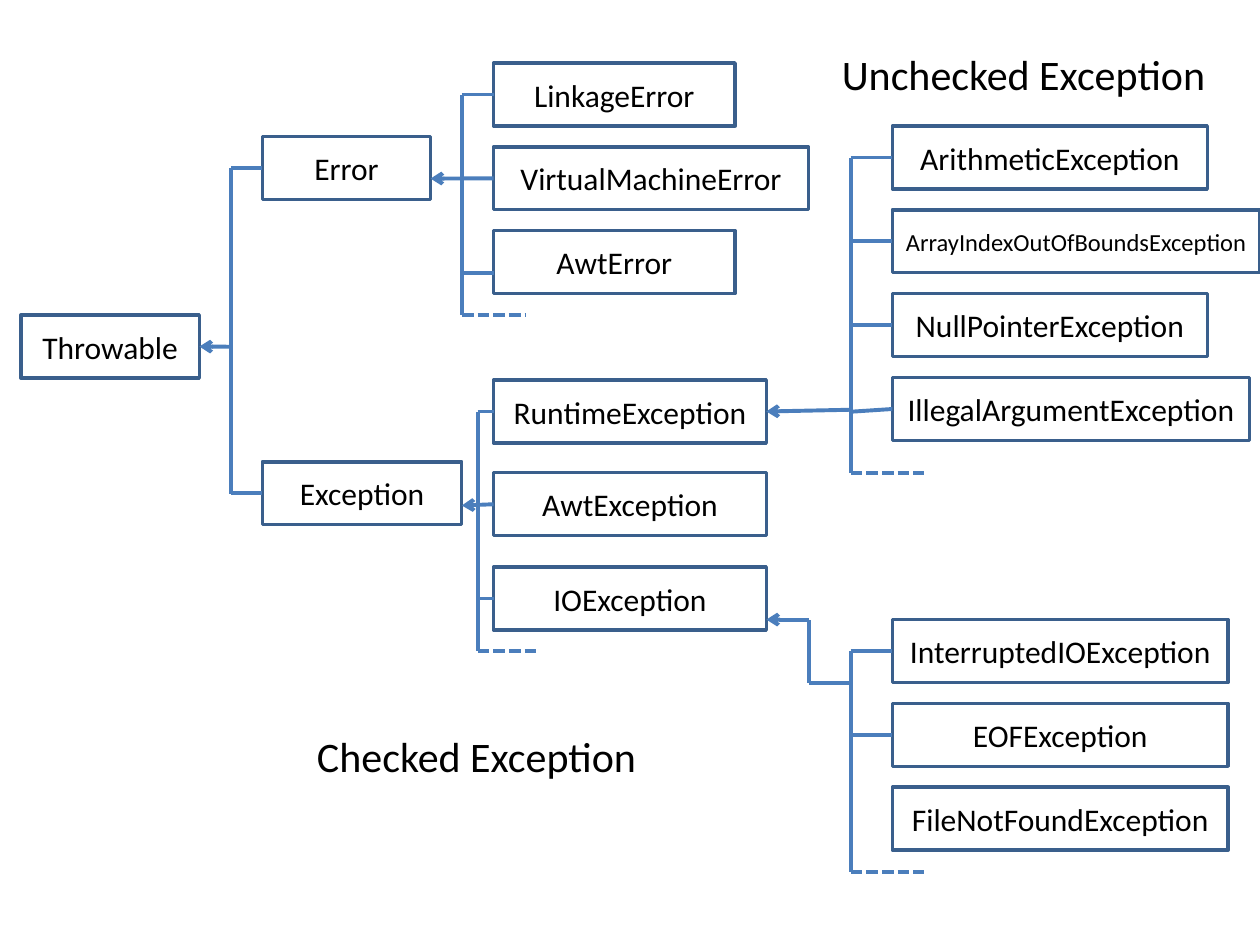
from dataclasses import dataclass
from typing import NamedTuple, Optional, Union

from lxml import etree
from pptx import Presentation
from pptx.dml.color import RGBColor
from pptx.enum import dml, shapes, text
from pptx.oxml.ns import qn
from pptx.util import Cm, Pt

BLACK = RGBColor(0x00, 0x00, 0x00)
BOX_LINE = RGBColor(0x3A, 0x5F, 0x8C)
LINK_LINE = RGBColor(0x4B, 0x7E, 0xBC)
FONT = "Calibri"
BOX_HEIGHT = 1.27
PITCH = 1.69
LEFT, RIGHT = 1, 3  # connection sites of a rectangle


@dataclass
class Box:
    name: str
    left: float
    top: float
    width: float
    size: int = 18


@dataclass
class Label:
    text: str
    left: float
    top: float
    width: float


class Point(NamedTuple):
    x: float
    y: float


class Joint(NamedTuple):
    box: str
    side: int


End = Union[Point, Joint]


@dataclass
class Link:
    start: End
    end: End
    arrow: bool = False
    dashed: bool = False


@dataclass
class Trunk:
    """A vertical line with level branches, and a dashed stub for further classes."""
    x: float
    top: float
    bottom: float
    children: list[str]
    stub_end: Optional[float] = None


def column(left: float, top: float, entries: list[tuple]) -> list[Box]:
    """Stack boxes at an equal pitch; an entry is name, width and optional size."""
    return [Box(entry[0], left, top + row * PITCH, *entry[1:])
            for row, entry in enumerate(entries)]


BOXES = [
    Box("Throwable", 0.42, 6.35, 3.6),
    Box("Error", 5.29, 2.75, 3.39),
    Box("Exception", 5.29, 9.31, 4.02),
    Box("RuntimeException", 9.95, 7.66, 5.5),
    Box("AwtException", 9.95, 9.53, 5.5),
    Box("IOException", 9.95, 11.43, 5.5),
    *column(9.95, 1.27, [
        ("LinkageError", 4.87),
        ("VirtualMachineError", 6.35),
        ("AwtError", 4.87),
    ]),
    *column(17.99, 2.54, [
        ("ArithmeticException", 6.35),
        ("ArrayIndexOutOfBoundsException", 7.41, 14),
        ("NullPointerException", 6.35),
        ("IllegalArgumentException", 7.2),
    ]),
    *column(17.99, 12.49, [
        ("InterruptedIOException", 6.77),
        ("EOFException", 6.77),
        ("FileNotFoundException", 6.77),
    ]),
]
BOX_BY_NAME = {box.name: box for box in BOXES}

TRUNKS = [
    Trunk(4.66, 3.39, 9.95, ["Error", "Exception"]),
    Trunk(9.31, 1.91, 6.35, ["LinkageError"], 10.58),
    Trunk(9.63, 8.3, 13.12, ["RuntimeException", "IOException"], 10.8),
    Trunk(17.15, 3.18, 9.53, ["ArithmeticException", "ArrayIndexOutOfBoundsException",
                              "NullPointerException"], 18.63),
    Trunk(17.15, 13.13, 17.57, ["InterruptedIOException", "EOFException"], 18.63),
]

LINKS = [
    Link(Point(4.66, 6.99), Joint("Throwable", RIGHT), arrow=True),
    Link(Joint("VirtualMachineError", LEFT), Point(8.68, 3.6), arrow=True),
    Link(Point(9.31, 5.5), Point(9.95, 5.5)),
    Link(Joint("AwtException", LEFT), Point(9.31, 10.19), arrow=True),
    Link(Point(17.15, 8.3), Joint("IllegalArgumentException", LEFT)),
    Link(Point(17.15, 8.26), Joint("RuntimeException", RIGHT), arrow=True),
    Link(Point(17.15, 13.76), Point(16.3, 13.76)),
    Link(Point(16.3, 13.76), Point(16.3, 12.49)),
    Link(Point(16.3, 12.49), Point(15.45, 12.49), arrow=True),
]

LABELS = [
    Label("Unchecked Exception", 16.72, 0.85, 7.92),
    Label("Checked Exception", 6.14, 14.61, 7.01),
]


def middle(box: Box) -> float:
    return box.top + BOX_HEIGHT / 2


def locate(end: End) -> Point:
    if isinstance(end, Point):
        return end
    box = BOX_BY_NAME[end.box]
    return Point(box.left + (box.width if end.side == RIGHT else 0), middle(box))


def trunk_links(trunk: Trunk) -> list[Link]:
    links = [Link(Point(trunk.x, trunk.top), Point(trunk.x, trunk.bottom))]
    for name in trunk.children:
        branch = Point(trunk.x, middle(BOX_BY_NAME[name]))
        links.append(Link(branch, Joint(name, LEFT)))
    if trunk.stub_end is not None:
        links.append(Link(Point(trunk.x, trunk.bottom),
                          Point(trunk.stub_end, trunk.bottom), dashed=True))
    return links


def format_text(paragraph, size: int) -> None:
    for run in paragraph.runs:
        run.font.name = FONT
        run.font.size = Pt(size)
        run.font.color.rgb = BLACK


def draw_box(slide, box: Box):
    shape = slide.shapes.add_shape(shapes.MSO_SHAPE.RECTANGLE, Cm(box.left), Cm(box.top),
                                   Cm(box.width), Cm(BOX_HEIGHT))
    shape.shadow.inherit = False
    shape.fill.background()
    shape.line.color.rgb = BOX_LINE
    shape.line.width = Pt(2)
    frame = shape.text_frame
    frame.text = box.name
    frame.vertical_anchor = text.MSO_ANCHOR.MIDDLE
    paragraph = frame.paragraphs[0]
    paragraph.alignment = text.PP_ALIGN.CENTER
    format_text(paragraph, box.size)
    return shape


def draw_link(slide, link: Link, drawn: dict) -> None:
    start, end = locate(link.start), locate(link.end)
    connector = slide.shapes.add_connector(shapes.MSO_CONNECTOR.STRAIGHT, Cm(start.x),
                                           Cm(start.y), Cm(end.x), Cm(end.y))
    if isinstance(link.start, Joint):
        connector.begin_connect(drawn[link.start.box], link.start.side)
    if isinstance(link.end, Joint):
        connector.end_connect(drawn[link.end.box], link.end.side)
    connector.line.color.rgb = LINK_LINE
    connector.line.width = Pt(2.25)
    if link.dashed:
        connector.line.dash_style = dml.MSO_LINE.SQUARE_DOT
    properties = connector._element.spPr
    if link.arrow:
        etree.SubElement(properties.find(qn("a:ln")), qn("a:tailEnd"), type="arrow")
    etree.SubElement(properties, qn("a:effectLst"))


def draw_label(slide, label: Label) -> None:
    frame = slide.shapes.add_textbox(Cm(label.left), Cm(label.top), Cm(label.width),
                                     Cm(BOX_HEIGHT)).text_frame
    frame.word_wrap = False
    frame.auto_size = text.MSO_AUTO_SIZE.SHAPE_TO_FIT_TEXT
    frame.text = label.text
    format_text(frame.paragraphs[0], 24)


def main() -> None:
    presentation = Presentation()
    presentation.slide_width, presentation.slide_height = Cm(25.4), Cm(19.05)
    slide = presentation.slides.add_slide(presentation.slide_layouts[6])
    drawn = {box.name: draw_box(slide, box) for box in BOXES}
    for link in [link for trunk in TRUNKS for link in trunk_links(trunk)] + LINKS:
        draw_link(slide, link, drawn)
    for label in LABELS:
        draw_label(slide, label)
    presentation.save("out.pptx")


if __name__ == "__main__":
    main()
